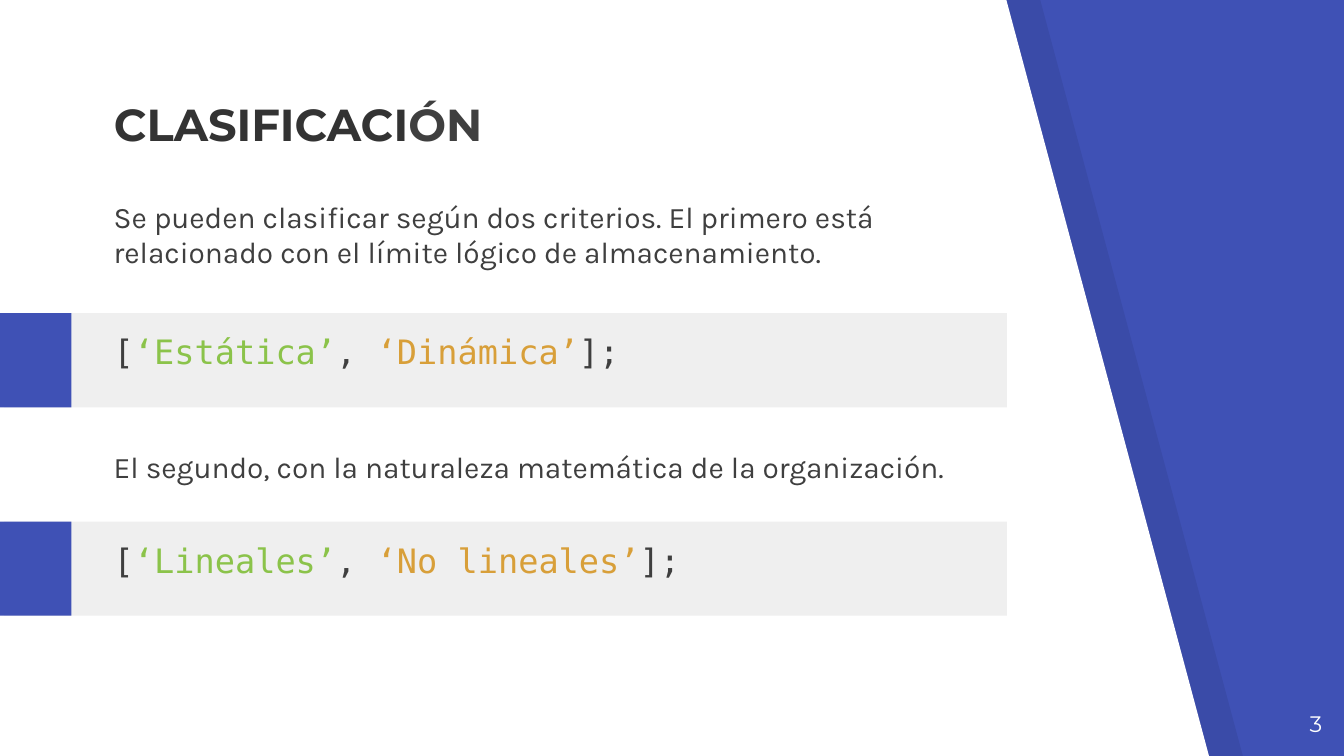
from dataclasses import dataclass

from lxml import etree
from pptx import Presentation
from pptx.dml.color import RGBColor
from pptx.enum.shapes import MSO_SHAPE
from pptx.enum.text import MSO_ANCHOR, MSO_AUTO_SIZE, PP_ALIGN
from pptx.oxml.ns import qn
from pptx.util import Cm, Pt

RECTANGLE = MSO_SHAPE.RECTANGLE
TOP, BOTTOM = MSO_ANCHOR.TOP, MSO_ANCHOR.BOTTOM
LEFT, RIGHT = PP_ALIGN.LEFT, PP_ALIGN.RIGHT
NO_FIT = MSO_AUTO_SIZE.NONE
TITLE_ONLY = 5


@dataclass(frozen=True)
class Theme:
    blue: str = "3F51B5"
    white: str = "FFFFFF"
    black: str = "000000"
    gray: str = "EFEFEF"
    dark: str = "333333"
    ink: str = "3F3F3F"
    green: str = "8BC34A"
    amber: str = "D89F39"
    heading_font: str = "Montserrat"
    body_font: str = "Karla"
    code_font: str = "DejaVu Sans Mono"
    title_size: int = 24
    body_size: int = 16
    code_size: int = 18
    number_size: int = 12


THEME = Theme()

TITLE = [("CLASIFICACI", THEME.dark), ("ÓN", THEME.ink)]
PAGE_NUMBER = "3"
SECTIONS = [
    {
        "text": "Se pueden clasificar según dos criterios. El primero está "
                "relacionado con el límite lógico de almacenamiento.",
        "options": ("‘Estática’", "‘Dinámica’"),
        "text_top": 3.5, "text_height": 2.39, "bar_top": 5.92,
    },
    {
        "text": "El segundo, con la naturaleza matemática de la organización.",
        "options": ("‘Lineales’", "‘No lineales’"),
        "text_top": 8.23, "text_height": 1.7, "bar_top": 9.86,
    },
]

PAGE_WIDTH, PAGE_HEIGHT = 25.4, 14.29
TEXT_LEFT, TEXT_WIDTH = 1.9, 17.1
BAR_LEFT, BAR_WIDTH, BAR_HEIGHT = 0.08, 18.95, 1.78
TAB_WIDTH = 1.35
CODE_OFFSET, CODE_HEIGHT = 0.09, 1.7
PANEL_TOP, PANEL_BOTTOM = -0.03, 14.33
PANEL_TOP_WIDTH, PANEL_BOTTOM_WIDTH = 19.02, 22.86
PANEL_SHADE_OFFSET, SHADE_ALPHA = 0.64, 7


def color(value):
    return RGBColor.from_string(value)


def paint(shape, fill):
    shape.shadow.inherit = False
    shape.fill.solid()
    shape.fill.fore_color.rgb = color(fill)
    shape.line.fill.background()


def add_panel(page, left, fill):
    corners = [
        (left, PANEL_BOTTOM),
        (left + PANEL_BOTTOM_WIDTH, PANEL_BOTTOM),
        (left + PANEL_TOP_WIDTH, 0),
    ]
    builder = page.shapes.build_freeform(Cm(left), Cm(PANEL_TOP))
    builder.add_line_segments([(Cm(x), Cm(y)) for x, y in corners])
    panel = builder.convert_to_shape()
    paint(panel, fill)
    return panel


def add_bar(page, top):
    group = page.shapes.add_group_shape()
    for left, width, fill in ((BAR_LEFT, BAR_WIDTH, THEME.gray),
                              (0, TAB_WIDTH, THEME.blue)):
        part = group.shapes.add_shape(
            RECTANGLE, Cm(left), Cm(top), Cm(width), Cm(BAR_HEIGHT))
        paint(part, fill)


def write(box, spans, font, size, bold=False, align=LEFT, anchor=TOP, before=0):
    frame = box.text_frame
    frame.word_wrap = True
    frame.auto_size = NO_FIT
    frame.vertical_anchor = anchor
    frame.margin_left = frame.margin_right = Cm(0.25)
    frame.margin_top = frame.margin_bottom = Cm(0.25)
    para = frame.paragraphs[0]
    para.alignment = align
    para.space_before = Pt(before)
    para.font.name = font
    para.font.size = Pt(size)
    para.font.bold = bold
    for text, fill in spans:
        span = para.add_run()
        span.text = text
        span.font.color.rgb = color(fill)


def add_text(page, left, top, width, height, spans, font, size, **style):
    box = page.shapes.add_textbox(Cm(left), Cm(top), Cm(width), Cm(height))
    write(box, spans, font, size, **style)


def add_section(page, section):
    add_bar(page, section["bar_top"])
    add_text(page, TEXT_LEFT, section["text_top"], TEXT_WIDTH,
             section["text_height"], [(section["text"], THEME.ink)],
             THEME.body_font, THEME.body_size, before=6)
    first, second = section["options"]
    code = [("[", THEME.ink), (first, THEME.green), (", ", THEME.ink),
            (second, THEME.amber), ("];", THEME.ink)]
    add_text(page, TEXT_LEFT, section["bar_top"] + CODE_OFFSET, TEXT_WIDTH,
             CODE_HEIGHT, code, THEME.code_font, THEME.code_size, before=6)


def main():
    deck = Presentation()
    deck.slide_width, deck.slide_height = Cm(PAGE_WIDTH), Cm(PAGE_HEIGHT)
    page = deck.slides.add_slide(deck.slide_layouts[TITLE_ONLY])
    page.background.fill.solid()
    page.background.fill.fore_color.rgb = color(THEME.blue)

    shade = add_panel(page, PANEL_SHADE_OFFSET, THEME.black)
    shade_color = shade.fill._xPr.find(qn("a:solidFill"))[0]
    etree.SubElement(shade_color, qn("a:alpha"), val=str(SHADE_ALPHA * 1000))
    add_panel(page, 0, THEME.white)

    title = page.shapes.title
    title.left, title.top = Cm(TEXT_LEFT), Cm(1.96)
    title.width, title.height = Cm(TEXT_WIDTH), Cm(1.14)
    write(title, TITLE, THEME.heading_font, THEME.title_size,
          bold=True, anchor=BOTTOM)
    page.shapes._spTree.append(title._element)

    for section in SECTIONS:
        add_section(page, section)

    add_text(page, 23.72, 13.18, 1.52, 1.09, [(PAGE_NUMBER, THEME.white)],
             THEME.heading_font, THEME.number_size, align=RIGHT)
    deck.save("out.pptx")


if __name__ == "__main__":
    main()
